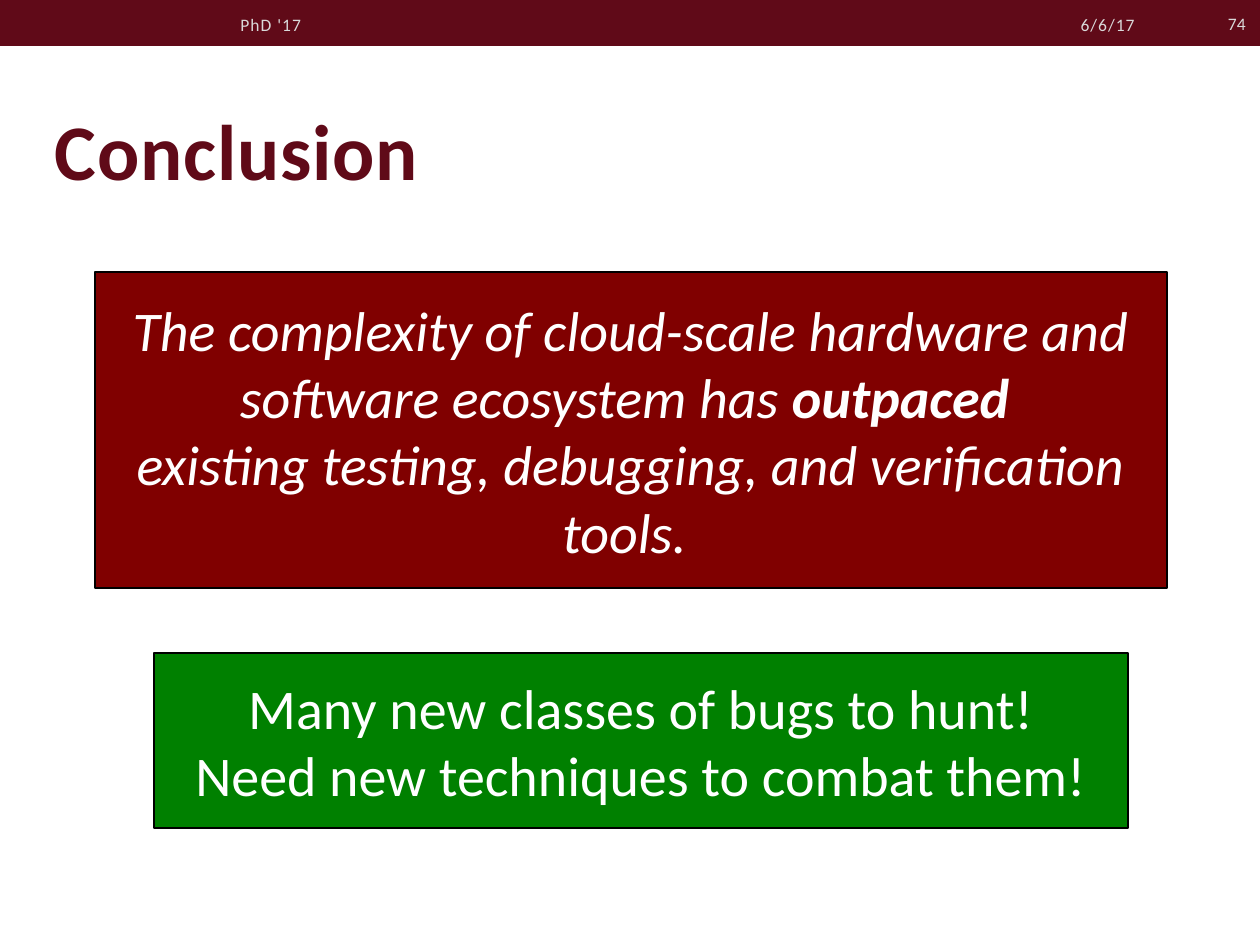
from pptx import Presentation
from pptx.dml.color import RGBColor
from pptx.enum.shapes import MSO_SHAPE
from pptx.enum.text import MSO_ANCHOR, MSO_AUTO_SIZE, PP_ALIGN
from pptx.util import Emu, Pt

RECTANGLE = MSO_SHAPE.RECTANGLE
MIDDLE, BOTTOM = MSO_ANCHOR.MIDDLE, MSO_ANCHOR.BOTTOM
LEFT, CENTER, RIGHT = PP_ALIGN.LEFT, PP_ALIGN.CENTER, PP_ALIGN.RIGHT
NO_AUTOFIT = MSO_AUTO_SIZE.NONE

BURGUNDY = RGBColor(0x60, 0x0A, 0x18)
MAROON = RGBColor(0x80, 0x00, 0x00)
GREEN = RGBColor(0x00, 0x80, 0x00)
BLACK = RGBColor(0x00, 0x00, 0x00)
WHITE = RGBColor(0xFF, 0xFF, 0xFF)
LIGHT_GRAY = RGBColor(0xD9, 0xD9, 0xD9)
FONT = "Calibri"
PX_PER_INCH = 126


def px(length):
    """Turn pixels into EMU."""
    return Emu(round(length * 914400 / PX_PER_INCH))


def style(para, size, color, align=LEFT, spacing=0):
    """Set the font, alignment and letter spacing of a paragraph."""
    para.alignment = align
    font = para.font
    font.name, font.size, font.color.rgb = FONT, Pt(size), color
    if spacing:
        font._rPr.set("spc", str(spacing))
    return font


def add_rectangle(page, box, fill, line=None):
    """Add a flat rectangle with an optional outline."""
    shape = page.shapes.add_shape(RECTANGLE, *map(px, box))
    shape.shadow.inherit = False
    shape.fill.solid()
    shape.fill.fore_color.rgb = fill
    if line is None:
        shape.line.fill.background()
    else:
        shape.line.color.rgb = line
        shape.line.width = Pt(1)
    return shape


def add_header(page, box):
    """Add the top band with footer text, date and page number."""
    left, top, width, height = box
    add_rectangle(page, box, BURGUNDY)
    entries = [
        ("PhD '17", (228, 6, 449, 37), LEFT, 60),
        ("6/6/17", (921, 6, 226, 37), RIGHT, 60),
        ("74", (1147, -1, 111, 50), RIGHT, 0),
    ]
    for text, (x, y, entry_width, entry_height), align, spacing in entries:
        entry = page.shapes.add_textbox(
            px(left + x), px(top + y), px(entry_width), px(entry_height))
        frame = entry.text_frame
        frame.word_wrap = True
        frame.vertical_anchor = MIDDLE
        frame.text = text
        style(frame.paragraphs[0], 10, LIGHT_GRAY, align, spacing)


def add_title(page, box, text):
    """Place and format the title placeholder."""
    title = page.shapes.title
    title.left, title.top, title.width, title.height = map(px, box)
    frame = title.text_frame
    frame.text = text
    frame.auto_size = NO_AUTOFIT
    frame.vertical_anchor = BOTTOM
    frame.margin_bottom = 0
    style(frame.paragraphs[0], 45, BURGUNDY, spacing=50).bold = True


def add_statement(page, box, fill, lines, italic=False):
    """Add a filled box of centred lines, each a list of (text, bold) spans."""
    frame = add_rectangle(page, box, fill, BLACK).text_frame
    frame.word_wrap = True
    frame.vertical_anchor = MIDDLE
    frame.margin_top = frame.margin_bottom = 0
    for index, spans in enumerate(lines):
        para = frame.add_paragraph() if index else frame.paragraphs[0]
        style(para, 32, WHITE, CENTER).italic = italic
        for text, bold in spans:
            span = para.add_run()
            span.text = text
            if bold:
                span.font.bold = True


def main():
    """Build and save the conclusion slide."""
    deck = Presentation()
    deck.slide_width, deck.slide_height = px(1260), px(945)
    page = deck.slides.add_slide(deck.slide_layouts[5])
    add_header(page, (0, 0, 1260, 46))
    add_title(page, (42, 38, 1174, 158), "Conclusion")
    add_statement(page, (95, 272, 1072, 316), MAROON, [
        [("The complexity of cloud-scale hardware and software ecosystem has ", False),
         ("outpaced ", True)],
        [("existing testing, debugging, and verification tools. ", False)],
    ], italic=True)
    add_statement(page, (154, 653, 974, 175), GREEN, [
        [("Many new classes of bugs to hunt!", False)],
        [("Need new techniques to combat them!", False)],
    ])
    deck.save("out.pptx")


if __name__ == "__main__":
    main()
